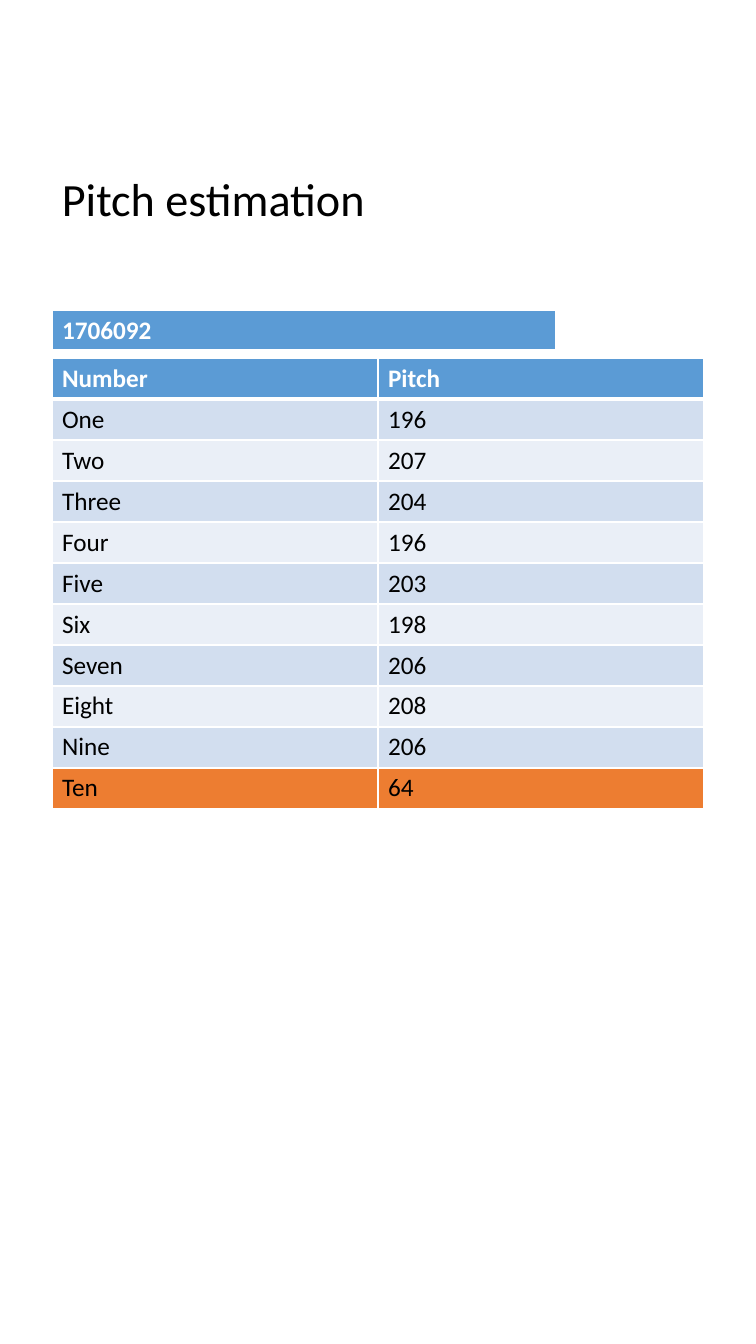
from dataclasses import dataclass

from lxml import etree
from pptx import Presentation
from pptx import util as u
from pptx.dml import color
from pptx.enum import text
from pptx.oxml import ns

SCALE = 914400 / 100.8


@dataclass(frozen=True)
class Theme:
    font: str = "Calibri"
    title_size: int = 33
    cell_size: int = 18
    ink: str = "000000"
    white: str = "FFFFFF"
    header: str = "5B9BD5"
    bands: tuple = ("D2DEEF", "EAEFF7")
    highlight: str = "ED7D31"
    line: int = 1
    header_line: int = 3


THEME = Theme()
ROW_HEIGHT = 41
TITLE_BOX = (52, 72, 652, 260)
PITCH_BOX = (52, 358, 652, 11 * ROW_HEIGHT)
SPEAKER_BOX = (52, 310, 504, ROW_HEIGHT)

NUMBERS = ("One", "Two", "Three", "Four", "Five", "Six", "Seven", "Eight", "Nine", "Ten")
PITCHES = (196, 207, 204, 196, 203, 198, 206, 208, 206, 64)
OUTLIER = "Ten"


def px(n):
    return u.Emu(round(n * SCALE))


def write(tf, content, size, ink, bold=False):
    p = tf.paragraphs[0]
    r = p.add_run()
    r.text = content
    formats = {"name": THEME.font, "size": u.Pt(size), "bold": bold}
    for name, value in formats.items():
        setattr(r.font, name, value)
    r.font.color.rgb = color.RGBColor.from_string(ink)
    return p


def add_borders(cell, widths):
    tc_pr = cell._tc.get_or_add_tcPr()
    for side, width in zip("LRTB", widths):
        ln = etree.SubElement(tc_pr, ns.qn(f"a:ln{side}"), w=str(u.Pt(width)))
        fill = etree.SubElement(ln, ns.qn("a:solidFill"))
        etree.SubElement(fill, ns.qn("a:srgbClr"), val=THEME.white)


def row_fill(i, label):
    if i == 0:
        return THEME.header
    return THEME.highlight if label == OUTLIER else THEME.bands[(i - 1) % 2]


def add_title(slide, box, content):
    sp = slide.shapes.add_textbox(*map(px, box))
    tf = sp.text_frame
    formats = {
        "word_wrap": True,
        "auto_size": text.MSO_AUTO_SIZE.NONE,
        "vertical_anchor": text.MSO_ANCHOR.MIDDLE,
    }
    for name, value in formats.items():
        setattr(tf, name, value)
    write(tf, content, THEME.title_size, THEME.ink).line_spacing = 0.9


def add_grid(slide, box, rows):
    left, top, width, height = box
    columns = len(rows[0])
    table = slide.shapes.add_table(len(rows), columns, *map(px, box)).table
    for column in table.columns:
        column.width = px(width / columns)
    for i, values in enumerate(rows):
        table.rows[i].height = px(height / len(rows))
        is_header = i == 0
        above = THEME.header_line if i == 1 else THEME.line
        below = THEME.header_line if is_header else THEME.line
        for j, value in enumerate(values):
            cell = table.cell(i, j)
            add_borders(cell, (THEME.line, THEME.line, above, below))
            cell.fill.solid()
            cell.fill.fore_color.rgb = color.RGBColor.from_string(row_fill(i, values[0]))
            ink = THEME.white if is_header else THEME.ink
            write(cell.text_frame, str(value), THEME.cell_size, ink, is_header)


def main():
    prs = Presentation()
    prs.slide_width, prs.slide_height = px(756), px(1344)
    slide = prs.slides.add_slide(prs.slide_layouts[6])
    add_title(slide, TITLE_BOX, "Pitch estimation")
    add_grid(slide, PITCH_BOX, [("Number", "Pitch"), *zip(NUMBERS, PITCHES)])
    add_grid(slide, SPEAKER_BOX, [("1706092",)])
    prs.save("out.pptx")


if __name__ == "__main__":
    main()
